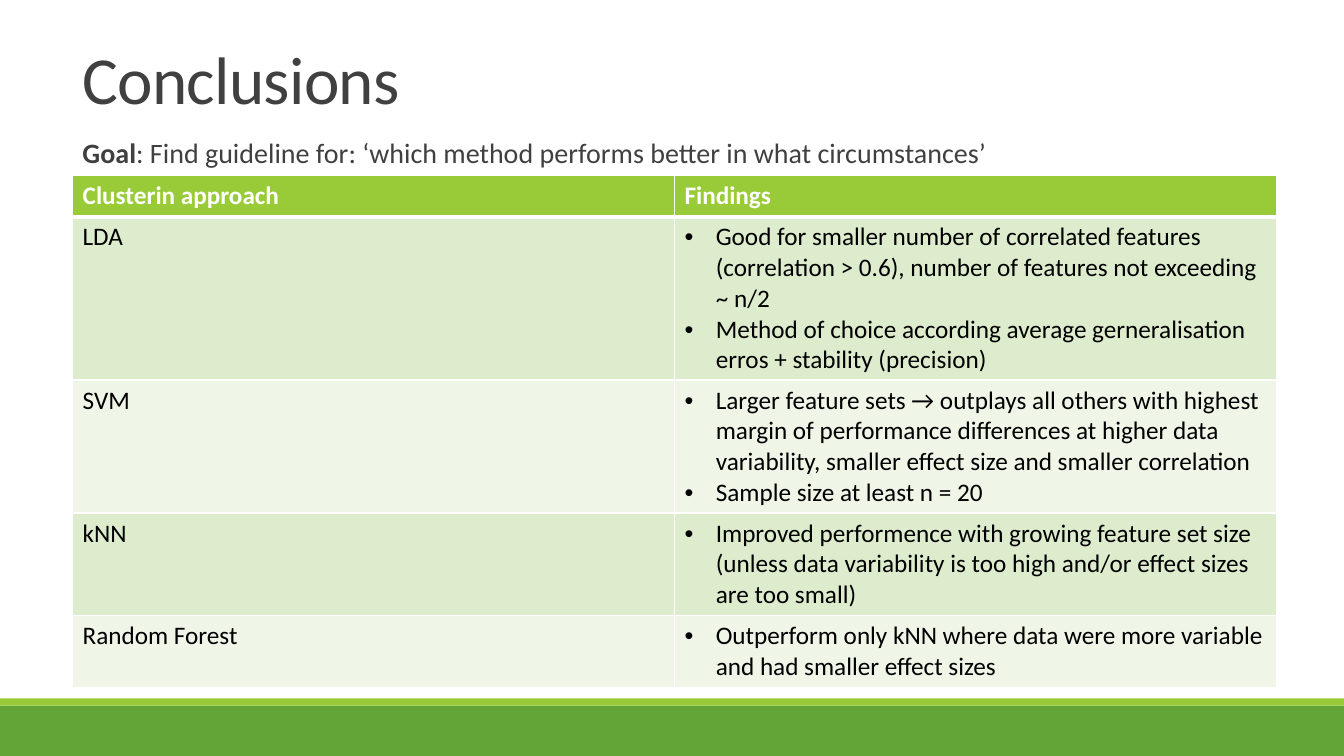
from pptx import Presentation, util as u
from pptx.dml.color import RGBColor
from pptx.enum import shapes, text
from pptx.oxml import parse_xml
from pptx.oxml.ns import nsdecls

WHITE = RGBColor(0xFF, 0xFF, 0xFF)
BLACK = RGBColor(0, 0, 0)
GREY = RGBColor(0x40, 0x40, 0x40)
GREEN = RGBColor(0x63, 0xA5, 0x37)
LIME = RGBColor(0x99, 0xCB, 0x38)
BANDS = RGBColor(0xDE, 0xEC, 0xCE), RGBColor(0xEF, 0xF6, 0xE8)

HEADS = ["Clusterin approach", "Findings"]
ROWS = [
    ("LDA", 1.62, [
        "Good for smaller number of correlated features (correlation > 0.6), "
        "number of features not exceeding ~ n/2",
        "Method of choice according average gerneralisation erros + stability (precision)"]),
    ("SVM", 1.32, [
        "Larger feature sets → outplays all others with highest margin of performance "
        "differences at higher data variability, smaller effect size and smaller correlation",
        "Sample size at least n = 20"]),
    ("kNN", 1.02, [
        "Improved performence with growing feature set size (unless data variability "
        "is too high and/or effect sizes are too small)"]),
    ("Random Forest", 0.71, [
        "Outperform only kNN where data were more variable and had smaller effect sizes"]),
]


class Deck:
    font = "Calibri"

    def __init__(self):
        self.file = Presentation()
        self.file.slide_width = u.Inches(13.33)
        self.file.slide_height = u.Inches(7.5)
        self.slide = self.file.slides.add_slide(self.file.slide_layouts[6])

    def run(self, para, words, size, color, bold=False):
        run = para.add_run()
        run.text = words
        font = run.font
        font.name, font.size, font.bold = self.font, u.Pt(size), bold
        font.color.rgb = color
        return run

    def bar(self, top, height, color):
        bar = self.slide.shapes.add_shape(
            shapes.MSO_SHAPE.RECTANGLE, 0, u.Inches(top),
            self.file.slide_width, u.Inches(height))
        bar.shadow.inherit = False
        bar.fill.solid()
        bar.fill.fore_color.rgb = color
        bar.line.fill.background()

    def label(self, top, height, anchor, spacing):
        """Add an empty text box and return its first paragraph."""
        box = self.slide.shapes.add_textbox(
            u.Inches(0.72), u.Inches(top), u.Inches(11), u.Inches(height))
        frame = box.text_frame
        frame.word_wrap = True
        frame.vertical_anchor = anchor
        para = frame.paragraphs[0]
        para.line_spacing = spacing
        return para

    def cell(self, cell, lines, fill, color, bold=False, bullet=False, edges=(1, 1)):
        """Fill a cell; edges are the top and bottom border widths in points."""
        cell.fill.solid()
        cell.fill.fore_color.rgb = fill
        props = cell._tc.get_or_add_tcPr()
        widths = zip("LRTB", (1, 1, *edges))
        for spot, (side, width) in enumerate(widths):
            props.insert(spot, parse_xml(
                f'<a:ln{side} {nsdecls("a")} w="{u.Pt(width)}"><a:solidFill>'
                f'<a:srgbClr val="{WHITE}"/></a:solidFill></a:ln{side}>'))
        frame = cell.text_frame
        for spot, words in enumerate(lines):
            para = frame.add_paragraph() if spot else frame.paragraphs[0]
            if bullet:
                form = para._p.get_or_add_pPr()
                form.set("marL", str(u.Inches(0.31)))
                form.set("indent", str(u.Inches(-0.31)))
                form.append(parse_xml(f'<a:buFont {nsdecls("a")} typeface="Arial"/>'))
                form.append(parse_xml(f'<a:buChar {nsdecls("a")} char="•"/>'))
            self.run(para, words, 18, color, bold)

    def table(self, heads, rows):
        tall = [0.41] + [height for _, height, _ in rows]
        grid = self.slide.shapes.add_table(
            len(tall), len(heads), u.Inches(0.72), u.Inches(1.74),
            u.Inches(11.94), u.Inches(sum(tall))).table
        for row, height in zip(grid.rows, tall):
            row.height = u.Inches(height)
        for col, head in enumerate(heads):
            self.cell(grid.cell(0, col), [head], LIME, WHITE, bold=True, edges=(1, 3))
        for row, (name, _, finds) in enumerate(rows, 1):
            fill = BANDS[(row - 1) % 2]
            edges = (3 if row == 1 else 1, 1)
            self.cell(grid.cell(row, 0), [name], fill, BLACK, edges=edges)
            self.cell(grid.cell(row, 1), finds, fill, BLACK, bullet=True, edges=edges)


def main():
    deck = Deck()
    deck.bar(7, 0.5, GREEN)
    deck.bar(6.93, 0.07, LIME)
    title = deck.label(0.22, 1, text.MSO_ANCHOR.BOTTOM, 0.85)
    run = deck.run(title, "Conclusions", 48, GREY)
    run._r.get_or_add_rPr().set("spc", "-50")
    goal = deck.label(1.33, 0.52, text.MSO_ANCHOR.TOP, 0.9)
    deck.run(goal, "Goal", 20, GREY, bold=True)
    deck.run(goal, ": Find guideline for: ‘which method performs better in what circumstances’",
             20, GREY)
    deck.table(HEADS, ROWS)
    deck.file.save("out.pptx")


if __name__ == "__main__":
    main()
